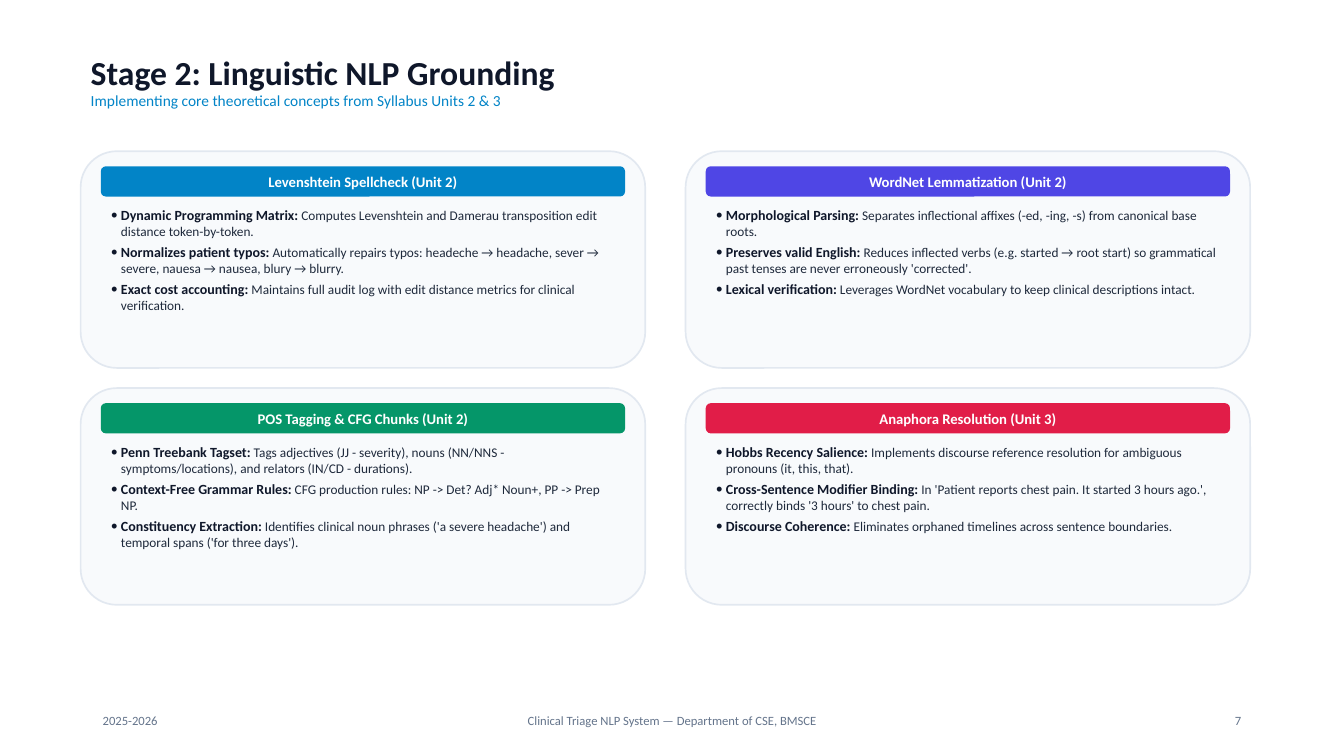
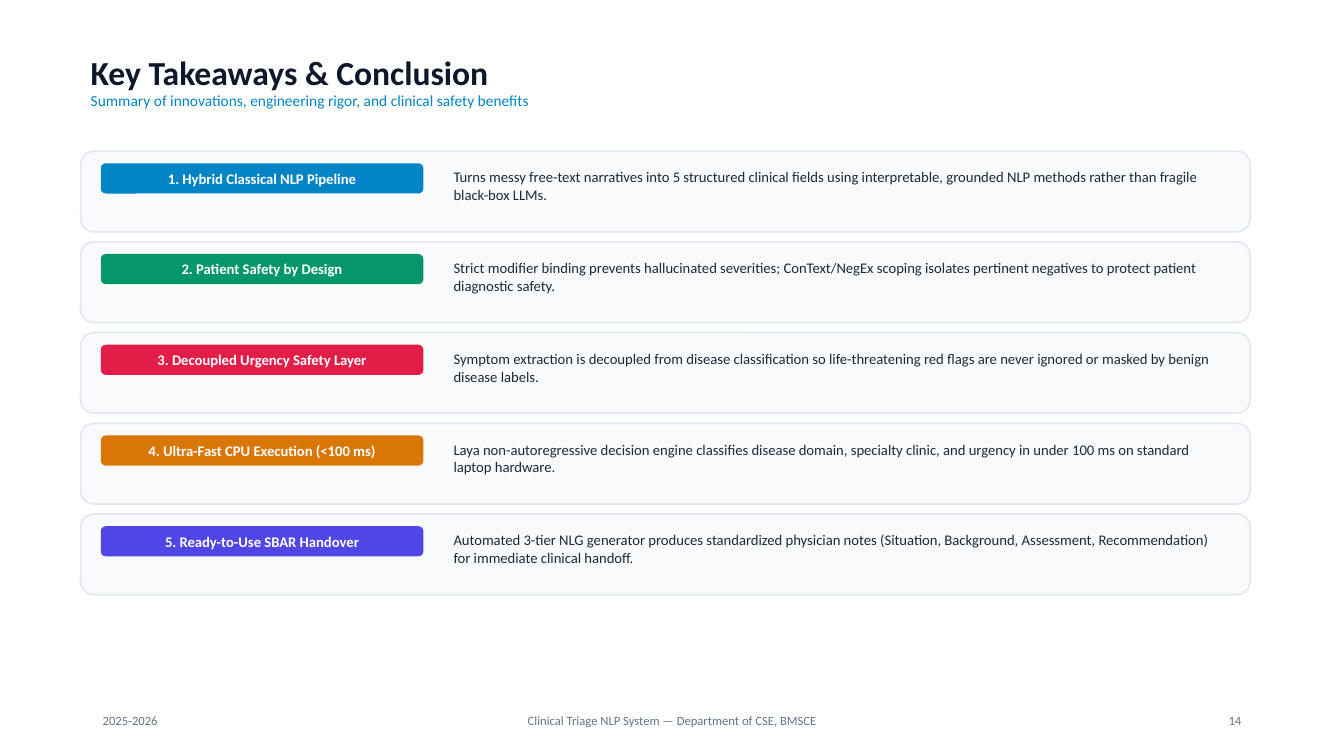
from dataclasses import dataclass

from lxml.etree import SubElement
from pptx import Presentation
from pptx.dml.color import RGBColor
from pptx.enum.shapes import MSO_SHAPE
from pptx.enum.text import MSO_ANCHOR, MSO_AUTO_SIZE, PP_ALIGN
from pptx.oxml.ns import qn
from pptx.util import Inches, Pt

# Shared style
FONT = "Calibri"
INK, BODY, MUTED = "0F172A", "1E293B", "64748B"
WHITE, PANEL, BORDER = "FFFFFF", "F8FAFC", "E2E8F0"
BLUE, INDIGO, GREEN, RED, AMBER = "0284C7", "4F46E5", "059669", "E11D48", "D97706"

SLIDE_W, SLIDE_H = 13.33, 7.5
LEFT, TOP, CONTENT_W = 0.8, 1.5, 11.6
PAD, PILL_H, BULLET_INDENT = 0.2, 0.3, 0.1
COMPARISON, TITLE_ONLY = 4, 5  # layouts of the default template


@dataclass(frozen=True)
class Box:
    x: float
    y: float
    w: float
    h: float

    def emu(self) -> tuple:
        return tuple(Inches(v) for v in (self.x, self.y, self.w, self.h))


@dataclass(frozen=True)
class Grid:
    cols: int
    row_h: float
    col_gap: float
    row_gap: float

    def cell(self, i: int) -> Box:
        row, col = divmod(i, self.cols)
        w = (CONTENT_W - (self.cols - 1) * self.col_gap) / self.cols
        return Box(LEFT + col * (w + self.col_gap),
                   TOP + row * (self.row_h + self.row_gap), w, self.row_h)


@dataclass(frozen=True)
class Card:
    title: str
    color: str
    points: tuple  # (lead, detail) pairs


@dataclass(frozen=True)
class Takeaway:
    title: str
    color: str
    text: str


@dataclass(frozen=True)
class FooterPart:
    box: Box
    align: PP_ALIGN


FOOTER_Y, FOOTER_H, FOOTER_MARGIN = 6.95, 0.4, 0.92
SIDE_W, MID_W = 3, 4.5
FOOTER = (
    FooterPart(Box(FOOTER_MARGIN, FOOTER_Y, SIDE_W, FOOTER_H), PP_ALIGN.LEFT),
    FooterPart(Box((SLIDE_W - MID_W) / 2, FOOTER_Y, MID_W, FOOTER_H), PP_ALIGN.CENTER),
    FooterPart(Box(SLIDE_W - FOOTER_MARGIN - SIDE_W, FOOTER_Y, SIDE_W, FOOTER_H),
               PP_ALIGN.RIGHT),
)

CARD_GRID = Grid(cols=2, row_h=2.15, col_gap=0.4, row_gap=0.2)
TAKEAWAY_GRID = Grid(cols=1, row_h=0.8, col_gap=0, row_gap=0.1)

# Content
CARDS = (
    Card("Levenshtein Spellcheck (Unit 2)", BLUE, (
        ("Dynamic Programming Matrix: ",
         "Computes Levenshtein and Damerau transposition edit distance token-by-token."),
        ("Normalizes patient typos: ",
         "Automatically repairs typos: headeche → headache, sever → severe, "
         "nauesa → nausea, blury → blurry."),
        ("Exact cost accounting: ",
         "Maintains full audit log with edit distance metrics for clinical verification."),
    )),
    Card("WordNet Lemmatization (Unit 2)", INDIGO, (
        ("Morphological Parsing: ",
         "Separates inflectional affixes (-ed, -ing, -s) from canonical base roots."),
        ("Preserves valid English: ",
         "Reduces inflected verbs (e.g. started → root start) so grammatical "
         "past tenses are never erroneously 'corrected'."),
        ("Lexical verification: ",
         "Leverages WordNet vocabulary to keep clinical descriptions intact."),
    )),
    Card("POS Tagging & CFG Chunks (Unit 2)", GREEN, (
        ("Penn Treebank Tagset: ",
         "Tags adjectives (JJ - severity), nouns (NN/NNS - symptoms/locations), "
         "and relators (IN/CD - durations)."),
        ("Context-Free Grammar Rules: ",
         "CFG production rules: NP -> Det? Adj* Noun+, PP -> Prep NP."),
        ("Constituency Extraction: ",
         "Identifies clinical noun phrases ('a severe headache') and temporal "
         "spans ('for three days')."),
    )),
    Card("Anaphora Resolution (Unit 3)", RED, (
        ("Hobbs Recency Salience: ",
         "Implements discourse reference resolution for ambiguous pronouns (it, this, that)."),
        ("Cross-Sentence Modifier Binding: ",
         "In 'Patient reports chest pain. It started 3 hours ago.', correctly "
         "binds '3 hours' to chest pain."),
        ("Discourse Coherence: ",
         "Eliminates orphaned timelines across sentence boundaries."),
    )),
)

TAKEAWAYS = (
    Takeaway("1. Hybrid Classical NLP Pipeline", BLUE,
             "Turns messy free-text narratives into 5 structured clinical fields using "
             "interpretable, grounded NLP methods rather than fragile black-box LLMs."),
    Takeaway("2. Patient Safety by Design", GREEN,
             "Strict modifier binding prevents hallucinated severities; ConText/NegEx scoping "
             "isolates pertinent negatives to protect patient diagnostic safety."),
    Takeaway("3. Decoupled Urgency Safety Layer", RED,
             "Symptom extraction is decoupled from disease classification so life-threatening "
             "red flags are never ignored or masked by benign disease labels."),
    Takeaway("4. Ultra-Fast CPU Execution (<100 ms)", AMBER,
             "Laya non-autoregressive decision engine classifies disease domain, specialty "
             "clinic, and urgency in under 100 ms on standard laptop hardware."),
    Takeaway("5. Ready-to-Use SBAR Handover", INDIGO,
             "Automated 3-tier NLG generator produces standardized physician notes (Situation, "
             "Background, Assessment, Recommendation) for immediate clinical handoff."),
)


# Drawing helpers
def rgb(color: str) -> RGBColor:
    return RGBColor.from_string(color)


def add_run(p, text: str, *, size: float, color: str, bold: bool = False) -> None:
    r = p.add_run()
    r.text = text
    r.font.name, r.font.size, r.font.bold = FONT, Pt(size), bold
    r.font.color.rgb = rgb(color)


def next_paragraph(tf, i: int, *, space: float = 0):
    p = tf.add_paragraph() if i else tf.paragraphs[0]
    p.alignment = PP_ALIGN.LEFT
    p.space_before = Pt(space if i else 0)
    return p


def set_bullet(p) -> None:
    pPr = p._p.get_or_add_pPr()
    pPr.set("marL", str(Inches(BULLET_INDENT)))
    pPr.set("indent", str(-Inches(BULLET_INDENT)))
    SubElement(pPr, qn("a:buFont")).set("typeface", FONT)
    SubElement(pPr, qn("a:buChar")).set("char", "•")


def place(sp, box: Box) -> None:
    sp.left, sp.top, sp.width, sp.height = box.emu()


def add_text(s, box: Box, text: str, *, size: float, color: str,
             align=PP_ALIGN.LEFT, anchor=MSO_ANCHOR.TOP) -> None:
    tf = s.shapes.add_textbox(*box.emu()).text_frame
    tf.word_wrap, tf.vertical_anchor = True, anchor
    p = tf.paragraphs[0]
    p.alignment = align
    add_run(p, text, size=size, color=color)


def add_round_rect(s, box: Box, fill: str, line: str = ""):
    sp = s.shapes.add_shape(MSO_SHAPE.ROUNDED_RECTANGLE, *box.emu())
    sp.shadow.inherit = False
    sp.fill.solid()
    sp.fill.fore_color.rgb = rgb(fill)
    if line:
        sp.line.color.rgb = rgb(line)
        sp.line.width = Pt(1.2)
    else:
        sp.line.fill.background()
    return sp


def add_pill(s, box: Box, text: str, color: str) -> None:
    tf = add_round_rect(s, box, color).text_frame
    tf.word_wrap, tf.vertical_anchor = False, MSO_ANCHOR.MIDDLE
    p = tf.paragraphs[0]
    p.alignment = PP_ALIGN.CENTER
    add_run(p, text, size=10.5, color=WHITE, bold=True)


def start_slide(prs, layout: int, title: str, subtitle: str, page: int):
    s = prs.slides.add_slide(prs.slide_layouts[layout])
    sp = s.shapes.title
    place(sp, Box(LEFT, 0.35, 10.2, 0.95))
    tf = sp.text_frame
    tf.auto_size, tf.vertical_anchor = MSO_AUTO_SIZE.NONE, MSO_ANCHOR.MIDDLE
    for i, (text, size, color) in enumerate(((title, 24, INK), (subtitle, 11, BLUE))):
        p = next_paragraph(tf, i)
        p.line_spacing = 0.9
        add_run(p, text, size=size, color=color, bold=i == 0)
    texts = ("2025-2026", "Clinical Triage NLP System — Department of CSE, BMSCE", str(page))
    for part, text in zip(FOOTER, texts):
        add_text(s, part.box, text, size=9, color=MUTED,
                 align=part.align, anchor=MSO_ANCHOR.MIDDLE)
    return s


# Slide parts
def draw_card(s, cell: Box, card: Card, body) -> None:
    add_round_rect(s, cell, PANEL, BORDER)
    x, w = cell.x + PAD, cell.w - 2 * PAD
    add_pill(s, Box(x, cell.y + 0.15, w, PILL_H), card.title, card.color)
    place(body, Box(x, cell.y + 0.5, w, 1.6))
    s.shapes.element.append(body.element)  # bring the list in front of its card
    tf = body.text_frame
    tf.auto_size, tf.vertical_anchor = MSO_AUTO_SIZE.NONE, MSO_ANCHOR.TOP
    for i, (lead, detail) in enumerate(card.points):
        p = next_paragraph(tf, i, space=3)
        set_bullet(p)
        add_run(p, lead, size=10, color=INK, bold=True)
        add_run(p, detail, size=9.5, color=BODY)


def draw_takeaway(s, cell: Box, item: Takeaway) -> None:
    add_round_rect(s, cell, PANEL, BORDER)
    x, y, pill_w = cell.x + PAD, cell.y + 0.12, 3.2
    add_pill(s, Box(x, y, pill_w, PILL_H), item.title, item.color)
    add_text(s, Box(x + pill_w + PAD, y, cell.w - pill_w - 3 * PAD, 0.55),
             item.text, size=10.5, color=BODY)


def main() -> None:
    prs = Presentation()
    prs.slide_width, prs.slide_height = Inches(SLIDE_W), Inches(SLIDE_H)

    # Linguistic grounding: four cards
    s = start_slide(prs, COMPARISON, "Stage 2: Linguistic NLP Grounding",
                    "Implementing core theoretical concepts from Syllabus Units 2 & 3", 7)
    bodies = [ph for ph in s.placeholders if ph.placeholder_format.idx > 0]
    for i, (card, body) in enumerate(zip(CARDS, bodies)):
        draw_card(s, CARD_GRID.cell(i), card, body)

    # Conclusion: five rows
    s = start_slide(prs, TITLE_ONLY, "Key Takeaways & Conclusion",
                    "Summary of innovations, engineering rigor, and clinical safety benefits", 14)
    for i, item in enumerate(TAKEAWAYS):
        draw_takeaway(s, TAKEAWAY_GRID.cell(i), item)

    prs.save("out.pptx")


if __name__ == "__main__":
    main()
